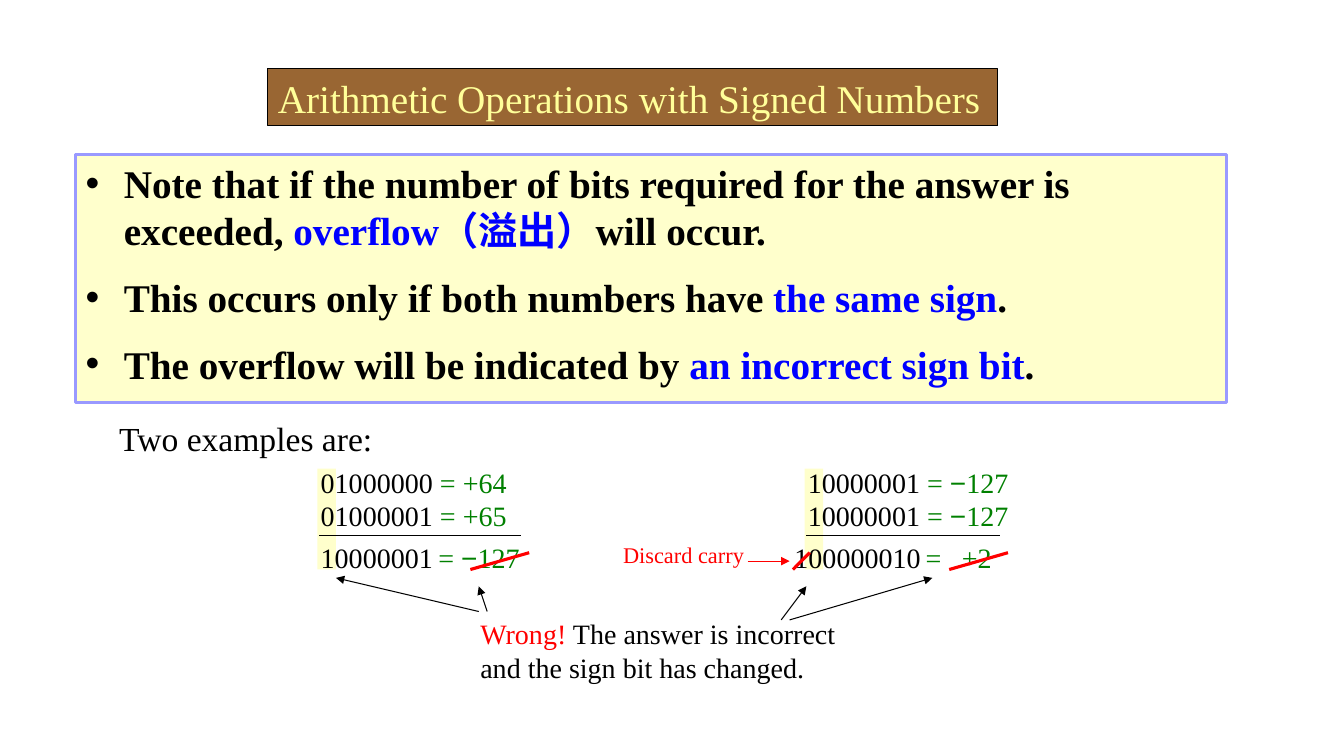
from lxml.etree import SubElement
from pptx import Presentation
from pptx.dml.color import RGBColor
from pptx.enum.shapes import MSO_CONNECTOR, MSO_SHAPE
from pptx.enum.text import MSO_ANCHOR, PP_ALIGN
from pptx.oxml.ns import qn
from pptx.util import Inches, Pt

BLACK = RGBColor(0x00, 0x00, 0x00)
GREEN = RGBColor(0x00, 0x80, 0x00)
BLUE = RGBColor(0x00, 0x00, 0xFF)
RED = RGBColor(0xFF, 0x00, 0x00)
CREAM = RGBColor(0xFF, 0xFF, 0xCC)
YELLOW = RGBColor(0xFF, 0xFF, 0x99)
BROWN = RGBColor(0x99, 0x66, 0x33)
LILAC = RGBColor(0x99, 0x99, 0xFF)

COLUMNS, ROWS = 160, 90
presentation = Presentation()
presentation.slide_width = Inches(13.33)
presentation.slide_height = Inches(7.5)
slide = presentation.slides.add_slide(presentation.slide_layouts[6])
column = presentation.slide_width / COLUMNS
row = presentation.slide_height / ROWS


def add_box(left, top, width, height, paragraphs=(), size=20, fill=None,
            line=None, line_width=0.75, wrap=True, bullets=False, tab=None):
    place = [int(n) for n in (left * column, top * row, width * column, height * row)]
    if fill is None:
        shape = slide.shapes.add_textbox(*place)
    else:
        shape = slide.shapes.add_shape(MSO_SHAPE.RECTANGLE, *place)
        shape.shadow.inherit = False
        shape.fill.solid()
        shape.fill.fore_color.rgb = fill
        if line is None:
            shape.line.fill.background()
        else:
            shape.line.color.rgb = line
            shape.line.width = Pt(line_width)
    frame = shape.text_frame
    frame.word_wrap = wrap
    frame.vertical_anchor = MSO_ANCHOR.TOP
    for index, runs in enumerate(paragraphs):
        paragraph = frame.add_paragraph() if index else frame.paragraphs[0]
        paragraph.alignment = PP_ALIGN.LEFT
        properties = paragraph._p.get_or_add_pPr()
        if bullets:
            if index:
                paragraph.space_before = Pt(size / 2)
            properties.set("marL", str(Inches(0.38)))
            properties.set("indent", str(-Inches(0.38)))
            SubElement(properties, qn("a:buFont"), typeface="Arial")
            SubElement(properties, qn("a:buChar"), char="•")
        if tab:
            stops = SubElement(properties, qn("a:tabLst"))
            SubElement(stops, qn("a:tab"), pos=str(Inches(tab)), algn="l")
        for text, color in runs:
            run = paragraph.add_run()
            run.text = text
            run.font.name = "Arial" if text == "−" else "Times New Roman"
            run.font.size = Pt(size)
            run.font.bold = bullets
            run.font.color.rgb = color


def add_line(start, end, color=BLACK, width=0.75, arrow=False):
    (x1, y1), (x2, y2) = start, end
    connector = slide.shapes.add_connector(
        MSO_CONNECTOR.STRAIGHT, int(x1 * column), int(y1 * row),
        int(x2 * column), int(y2 * row))
    connector.line.color.rgb = color
    connector.line.width = Pt(width)
    if arrow:
        SubElement(connector.line._get_or_add_ln(), qn("a:tailEnd"), type="triangle")
    SubElement(connector._element.spPr, qn("a:effectLst"))


minus_127 = [("= ", GREEN), ("−", GREEN), ("127", GREEN)]
SUM_ROW = 63.8

for sign_column in (37.8, 95.8):
    add_box(sign_column, 55.8, 2.2, 12, fill=CREAM)

add_box(95, 54.8, 32, 9.2, [[("10000001 ", BLACK)] + minus_127] * 2)
add_box(37, 54.8, 32, 9.2, [
    [("01000000 ", BLACK), ("= +64", GREEN)],
    [("01000001 ", BLACK), ("= +65", GREEN)],
])

add_box(31.9, 8.2, 86.9, 6.8,
        [[("Arithmetic Operations with Signed Numbers", YELLOW)]],
        size=28, fill=BROWN, line=BLACK, wrap=False)

for first, last in ((38, 62), (96, 119)):
    add_line((first, SUM_ROW), (last, SUM_ROW))
add_box(37, SUM_ROW, 21, 5.2, [[("10000001", BLACK)]])
add_box(51, SUM_ROW, 14, 5.2, [minus_127])
add_box(93.4, SUM_ROW, 21, 5.2, [[("100000010", BLACK)]])
add_box(109, SUM_ROW, 14, 5.2, [[("=\t+2", GREEN)]], tab=0.36)

add_box(9, 18.4, 137, 29.5, [
    [("Note that if the number of bits required for the answer is exceeded, ", BLACK),
     ("overflow（溢出）", BLUE), ("will occur.", BLACK)],
    [("This occurs only if both numbers have ", BLACK),
     ("the same sign", BLUE), (".", BLACK)],
    [("The overflow will be indicated by ", BLACK),
     ("an incorrect sign bit", BLUE), (".", BLACK)],
], size=28, fill=CREAM, line=LILAC, line_width=2.25, bullets=True)

add_box(13, 49.2, 56, 6, [[("Two examples are:", BLACK)]], size=24)
add_box(56, 72.8, 45, 9.2, [
    [("Wrong!", RED),
     (" The answer is incorrect and the sign bit has changed.", BLACK)]])
add_box(73, SUM_ROW, 20, 4.4, [[("Discard carry", RED)]], size=16)
add_line((89, 66.8), (94, 66.8), RED, arrow=True)

for first, last in ((94.4, 96.4), (56, 63), (113, 120)):
    add_line((first, 67.8), (last, 65.8), RED, 2.25)

for start, end in (
    ((58, 72.8), (57, 69.8)),
    ((57, 72.8), (40, 68.8)),
    ((93, 73.8), (96, 69.8)),
    ((94, 73.8), (111, 68.8)),
):
    add_line(start, end, arrow=True)

presentation.save("out.pptx")
